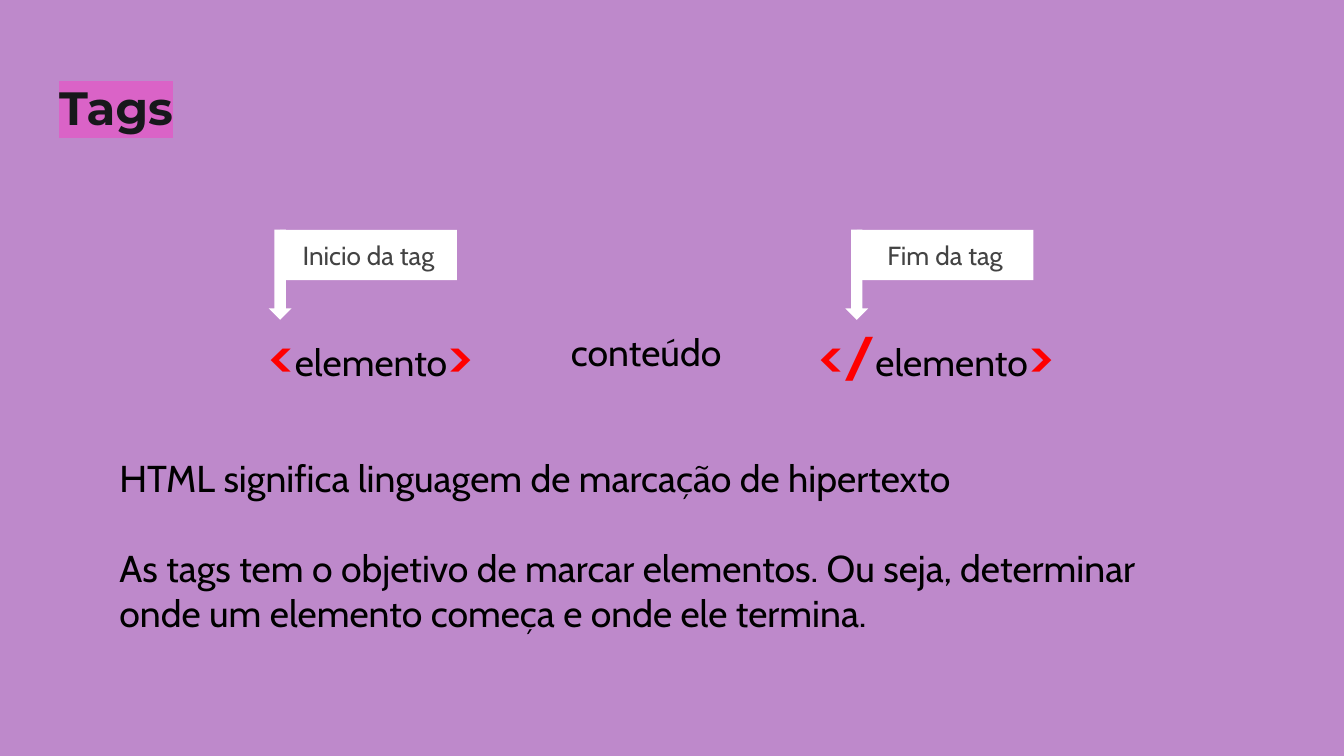
from lxml.etree import SubElement
from pptx import Presentation
from pptx.dml.color import RGBColor
from pptx.enum.shapes import MSO_SHAPE
from pptx.enum.text import MSO_ANCHOR, MSO_AUTO_SIZE, PP_ALIGN
from pptx.oxml.ns import qn
from pptx.util import Inches, Pt

LILAC = RGBColor(0xBE, 0x89, 0xCB)
PINK = RGBColor(0xDA, 0x63, 0xC7)
INK = RGBColor(0x17, 0x18, 0x1B)
GRAY = RGBColor(0x43, 0x43, 0x43)
BLACK = RGBColor(0, 0, 0)
RED = RGBColor(0xFF, 0, 0)
WHITE = RGBColor(0xFF, 0xFF, 0xFF)

TAG_TOP, TAG_HEIGHT = 2.28, 0.71
CALLOUT_TOP = 1.71


def style_font(font, size, color, name="Cabin", bold=False):
    """Set the face, size, colour and weight of a font."""
    font.name, font.size, font.bold = name, Pt(size), bold
    font.color.rgb = color


def prepare_frame(shape, anchor):
    """Wrap the shape's text inside even margins and return its frame."""
    frame = shape.text_frame
    frame.auto_size = MSO_AUTO_SIZE.NONE
    frame.word_wrap = True
    frame.vertical_anchor = anchor
    frame.margin_left = frame.margin_right = Inches(0.1)
    frame.margin_top = frame.margin_bottom = Inches(0.1)
    return frame


def add_text_box(page, box, anchor=MSO_ANCHOR.MIDDLE):
    """Add an empty text box and return its frame."""
    return prepare_frame(page.shapes.add_textbox(*map(Inches, box)), anchor)


def add_title(page, box, text):
    """Place the title with a highlight behind its words."""
    title = page.shapes.title
    title.left, title.top, title.width, title.height = map(Inches, box)
    para = prepare_frame(title, MSO_ANCHOR.TOP).paragraphs[0]
    para.alignment = PP_ALIGN.LEFT
    span = para.add_run()
    span.text = text
    style_font(span.font, 25, INK, "Montserrat", True)
    properties = span.font._element
    highlight = SubElement(properties, qn("a:highlight"))
    SubElement(highlight, qn("a:srgbClr"), val=str(PINK))
    properties.find(qn("a:solidFill")).addnext(highlight)


def add_tag(page, box, opening):
    """Write an element name between red tag marks."""
    para = add_text_box(page, box).paragraphs[0]
    for text, is_mark in ((opening, True), ("elemento", False), (">", True)):
        span = para.add_run()
        span.text = text
        style_font(span.font, 30 if is_mark else 20, RED if is_mark else BLACK, bold=is_mark)


def add_white_shape(page, kind, box):
    """Add a plain white shape without outline or shadow."""
    shape = page.shapes.add_shape(kind, *map(Inches, box))
    shape.shadow.inherit = False
    shape.fill.solid()
    shape.fill.fore_color.rgb = WHITE
    shape.line.fill.background()
    return shape


def add_callout(page, box, text):
    """Draw a label whose left edge runs down the middle of an arrow."""
    left, top, width, height = box
    arrow_width, label_height = 0.17, height * 0.56
    add_white_shape(page, MSO_SHAPE.DOWN_ARROW, (left, top, arrow_width, height))
    label = add_white_shape(
        page,
        MSO_SHAPE.RECTANGLE,
        (left + arrow_width / 2, top, width - arrow_width / 2, label_height),
    )
    para = prepare_frame(label, MSO_ANCHOR.MIDDLE).paragraphs[0]
    para.text = text
    para.alignment = PP_ALIGN.CENTER
    style_font(para.font, 14, GRAY)


def add_paragraphs(page, box, texts, anchor=MSO_ANCHOR.TOP):
    """Write black paragraphs one line apart."""
    frame = add_text_box(page, box, anchor)
    for index, text in enumerate(texts):
        para = frame.paragraphs[0] if index == 0 else frame.add_paragraph()
        para.text = text
        para.space_before = Pt(24 if index else 0)
        style_font(para.font, 20, BLACK)


def main():
    """Build the slide about tags and save it."""
    deck = Presentation()
    deck.slide_width = Inches(10)
    deck.slide_height = deck.slide_width * 9 // 16
    page = deck.slides.add_slide(deck.slide_layouts[5])
    page.background.fill.solid()
    page.background.fill.fore_color.rgb = LILAC

    add_title(page, (0.34, 0.49, 9.32, 0.68), "Tags")
    for left, width, opening in ((1.91, 1.83, "<"), (6, 2.09, "</")):
        add_tag(page, (left, TAG_TOP, width, TAG_HEIGHT), opening)
    add_paragraphs(page, (4.15, TAG_TOP, 2.77, 0.67), ["conteúdo"], MSO_ANCHOR.MIDDLE)
    for left, text in ((2, "Inicio da tag"), (6.29, "Fim da tag")):
        add_callout(page, (left, CALLOUT_TOP, 1.4, 0.67), text)
    add_paragraphs(
        page,
        (0.79, 3.29, 8.4, 1.89),
        [
            "HTML significa linguagem de marcação de hipertexto",
            "As tags tem o objetivo de marcar elementos. Ou seja, "
            "determinar onde um elemento começa e onde ele termina.",
        ],
    )
    deck.save("out.pptx")


if __name__ == "__main__":
    main()
